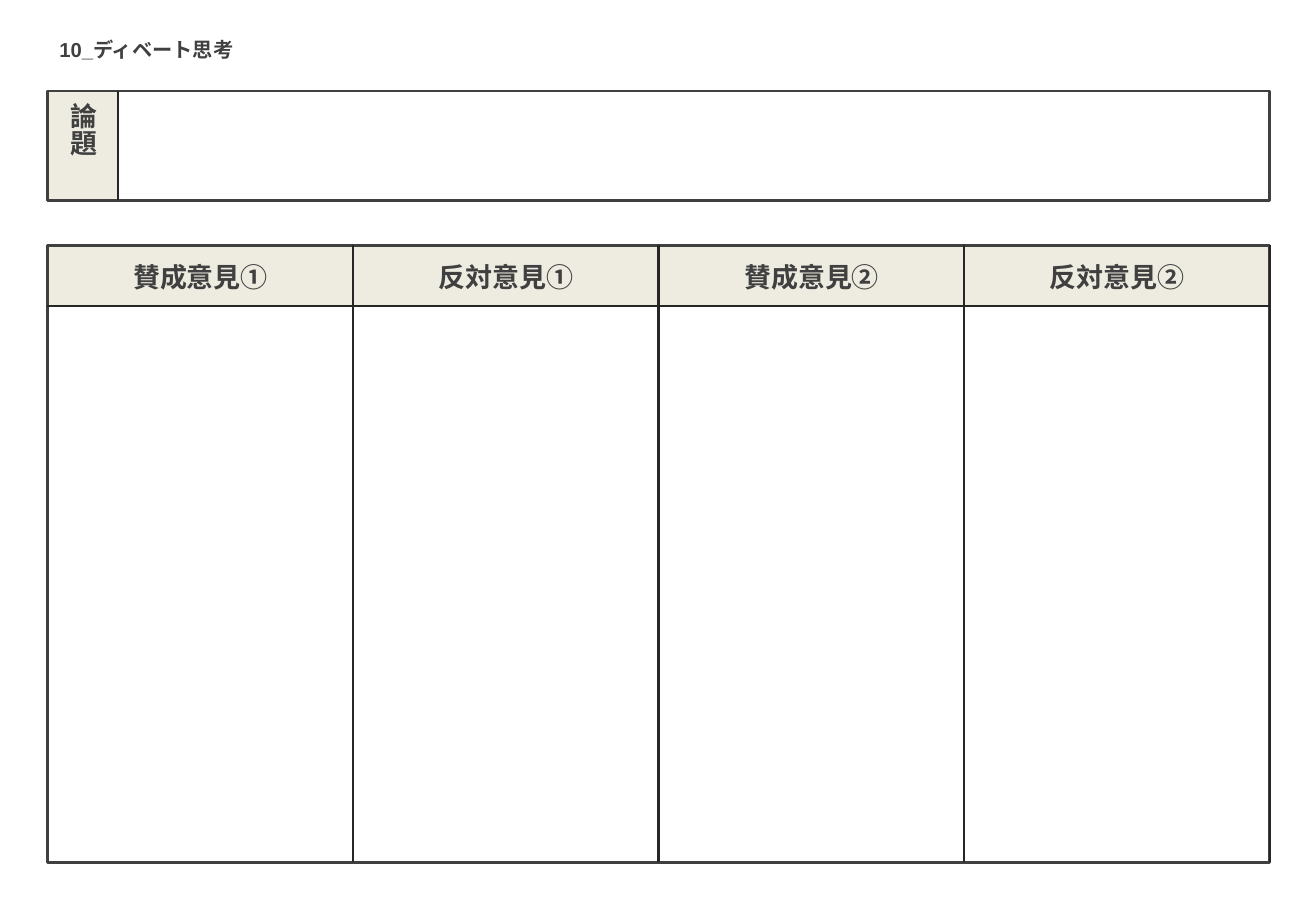
from lxml import etree
from pptx import Presentation
from pptx.dml.color import RGBColor
from pptx.enum import shapes, text
from pptx.oxml import ns
from pptx.util import Inches, Pt

INK = RGBColor(0x40, 0x40, 0x40)
RULE = RGBColor(0x26, 0x26, 0x26)
BEIGE = RGBColor(0xEE, 0xEC, 0xE1)

LEFT, WIDTH = 0.39, 10.06
TOPIC_TOP, TOPIC_HEIGHT, TOPIC_LABEL_WIDTH = 0.75, 0.9, 0.58
GRID_TOP, GRID_HEIGHT, HEADER_HEIGHT = 2.02, 5.08, 0.5
HEADERS = ["賛成意見①", "反対意見①", "賛成意見②", "反対意見②"]
COLUMN_WIDTH = WIDTH / len(HEADERS)

presentation = Presentation()
presentation.slide_width = Inches(10.83)
presentation.slide_height = Inches(7.5)
slide = presentation.slides.add_slide(presentation.slide_layouts[6])


def add_label(wording, left, top, width, height, size=16, centred=True):
    box = slide.shapes.add_textbox(Inches(left), Inches(top), Inches(width), Inches(height))
    frame = box.text_frame
    frame.word_wrap = True
    frame.auto_size = text.MSO_AUTO_SIZE.SHAPE_TO_FIT_TEXT
    frame.text = wording
    paragraph = frame.paragraphs[0]
    if centred:
        frame.vertical_anchor = text.MSO_ANCHOR.MIDDLE
        paragraph.alignment = text.PP_ALIGN.CENTER
    font = paragraph.runs[0].font
    font.name, font.size, font.bold = "Arial", Pt(size), True
    font.color.rgb = INK
    return box


def add_rule(x1, y1, x2, y2):
    rule = slide.shapes.add_connector(
        shapes.MSO_CONNECTOR.STRAIGHT, Inches(x1), Inches(y1), Inches(x2), Inches(y2))
    rule.line.color.rgb = RULE
    rule.line.width = Pt(1.5)
    etree.SubElement(rule._element.spPr, ns.qn("a:effectLst"))
    return rule


add_label("10_ディベート思考", LEFT, 0.26, 1.66, 0.3, size=12, centred=False)

# Each block is a beige band with an outlined frame over it
frames = []
for top, height, band_width, band_height in [
    (TOPIC_TOP, TOPIC_HEIGHT, TOPIC_LABEL_WIDTH, TOPIC_HEIGHT),
    (GRID_TOP, GRID_HEIGHT, WIDTH, HEADER_HEIGHT),
]:
    band = slide.shapes.add_shape(
        shapes.MSO_SHAPE.RECTANGLE, Inches(LEFT), Inches(top),
        Inches(band_width), Inches(band_height))
    band.shadow.inherit = False
    band.fill.solid()
    band.fill.fore_color.rgb = BEIGE
    band.line.fill.background()

    frame = slide.shapes.add_shape(
        shapes.MSO_SHAPE.RECTANGLE, Inches(LEFT), Inches(top), Inches(WIDTH), Inches(height))
    frame.shadow.inherit = False
    frame.fill.background()
    frame.line.color.rgb = INK
    frame.line.width = Pt(1.5)
    frames.append(frame)

# Topic label
topic_rule_x = LEFT + TOPIC_LABEL_WIDTH
add_rule(topic_rule_x, TOPIC_TOP, topic_rule_x, TOPIC_TOP + TOPIC_HEIGHT)
topic = add_label("論題", 0.45, TOPIC_TOP, 0.47, TOPIC_HEIGHT)
topic.text_frame._txBody.bodyPr.set("vert", "eaVert")

# Opinion columns
header_bottom = GRID_TOP + HEADER_HEIGHT
add_rule(LEFT, header_bottom, LEFT + WIDTH, header_bottom)
for number, header in enumerate(HEADERS, start=1):
    right = LEFT + number * COLUMN_WIDTH
    rule = add_rule(right, GRID_TOP + GRID_HEIGHT, right, GRID_TOP)
    if number == len(HEADERS) / 2:
        rule.begin_connect(frames[1], 2)
        rule.end_connect(frames[1], 0)
    add_label(header, right - COLUMN_WIDTH + 0.01, 2.09, 2.5, 0.37)

presentation.save("out.pptx")
